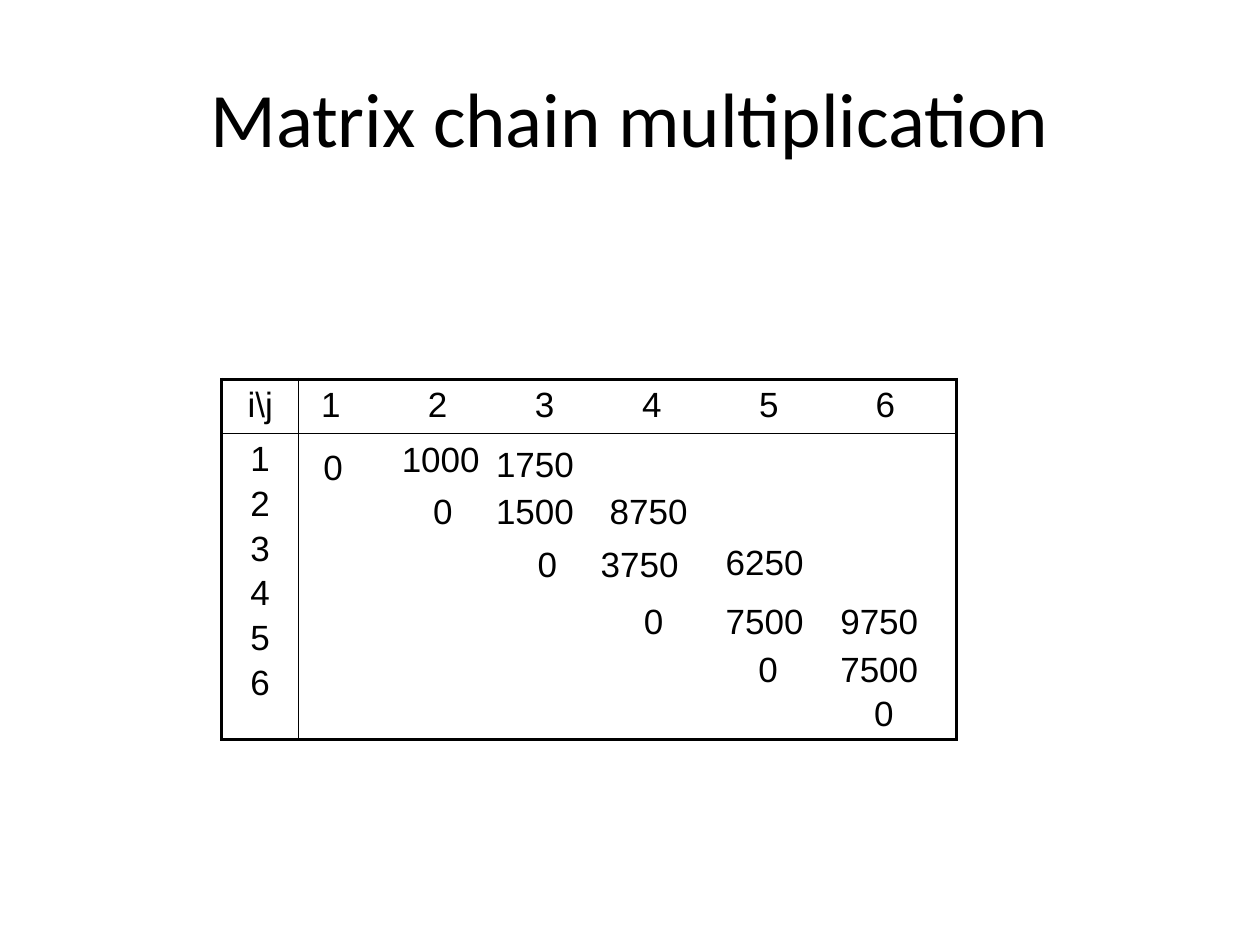
from typing import NamedTuple

from lxml.etree import SubElement as Sub
from pptx import Presentation as Deck
from pptx.dml.color import RGBColor as Rgb
from pptx.enum.text import MSO_ANCHOR as Anchor, PP_ALIGN as Align
from pptx.oxml.ns import qn
from pptx.util import Cm, Pt

BLACK = "000000"
THIN, THICK = 1, 2.25
BODY = {"name": "Arial", "size": Pt(20), "bold": False}
HEAD = {"name": "Calibri", "size": Pt(44), "bold": False}
STOPS = (0.2, 2.35, 4.51, 6.67, 9.03, 11.38)


class Cost(NamedTuple):
    text: str
    left: float
    top: float


COSTS = (
    Cost("0", 6.27, 8.86),
    Cost("0", 8.48, 9.75),
    Cost("0", 10.59, 10.82),
    Cost("0", 12.73, 11.96),
    Cost("0", 15.04, 12.93),
    Cost("0", 17.37, 13.82),
    Cost("1000", 7.85, 8.69),
    Cost("1500", 9.75, 9.75),
    Cost("3750", 11.86, 10.82),
    Cost("7500", 14.38, 11.96),
    Cost("7500", 16.69, 12.93),
    Cost("1750", 9.75, 8.79),
    Cost("8750", 12.04, 9.75),
    Cost("6250", 14.38, 10.77),
    Cost("9750", 16.69, 11.96),
)


def paint(target, code: str) -> None:
    target.rgb = Rgb.from_string(code)


def style(para, form: dict, align=Align.LEFT) -> None:
    para.alignment = align
    for key, value in form.items():
        setattr(para.font, key, value)
    paint(para.font.color, BLACK)


def place(shape, left: float, top: float, width: float, height: float) -> None:
    spots = {"left": left, "top": top, "width": width, "height": height}
    for key, value in spots.items():
        setattr(shape, key, Cm(value))


def add_cost(slide, cost: Cost) -> None:
    width = 0.84 if cost.text == "0" else 2.36
    box = slide.shapes.add_textbox(Cm(cost.left), Cm(cost.top), Cm(width), Cm(1.09))
    box.text_frame.word_wrap = True
    box.text_frame.text = cost.text
    style(box.text_frame.paragraphs[0], BODY)


def edge(cell, side: str, width: float) -> None:
    props = cell._tc.get_or_add_tcPr()
    line = Sub(props, qn(f"a:ln{side}"), w=str(Pt(width)))
    fill = Sub(line, qn("a:solidFill"))
    Sub(fill, qn("a:srgbClr"), val=BLACK)


def set_tabs(para) -> None:
    tabs = Sub(para._p.get_or_add_pPr(), qn("a:tabLst"))
    for stop in STOPS:
        Sub(tabs, qn("a:tab"), pos=str(Cm(stop)), algn="l")


def add_grid(slide) -> None:
    frame = slide.shapes.add_table(2, 2, Cm(4.47), Cm(7.65), Cm(14.81), Cm(7.26))
    grid = frame.table
    grid.first_row = grid.horz_banding = False
    for col, width in zip(grid.columns, (1.55, 13.26)):
        col.width = Cm(width)
    for row, height in zip(grid.rows, (1.09, 6.17)):
        row.height = Cm(height)

    marks = [str(num) for num in range(1, 7)]
    texts = (("i\\j", "\t" + "\t".join(marks)), ("\n".join(marks), ""))
    for row, line in enumerate(texts):
        for col, text in enumerate(line):
            cell = grid.cell(row, col)
            cell.text = text
            outer = {"L": col == 0, "R": col == 1, "T": row == 0, "B": row == 1}
            for side, thick in outer.items():
                edge(cell, side, THICK if thick else THIN)
            cell.fill.background()
            for index, para in enumerate(cell.text_frame.paragraphs):
                if row == 0 and col == 1:
                    set_tabs(para)
                style(para, BODY, Align.LEFT if col else Align.CENTER)
                if index:
                    para.space_before = Pt(3.3)


def main() -> None:
    deck = Deck()
    deck.slide_width, deck.slide_height = Cm(25.4), Cm(19.05)
    slide = deck.slides.add_slide(deck.slide_layouts[5])
    title = slide.shapes.title
    place(title, 1.27, 0.76, 22.86, 3.18)
    title.text_frame.text = "Matrix chain multiplication"
    title.text_frame.vertical_anchor = Anchor.MIDDLE
    style(title.text_frame.paragraphs[0], HEAD, Align.CENTER)
    add_grid(slide)
    for cost in COSTS:
        add_cost(slide, cost)
    deck.save("out.pptx")


if __name__ == "__main__":
    main()
